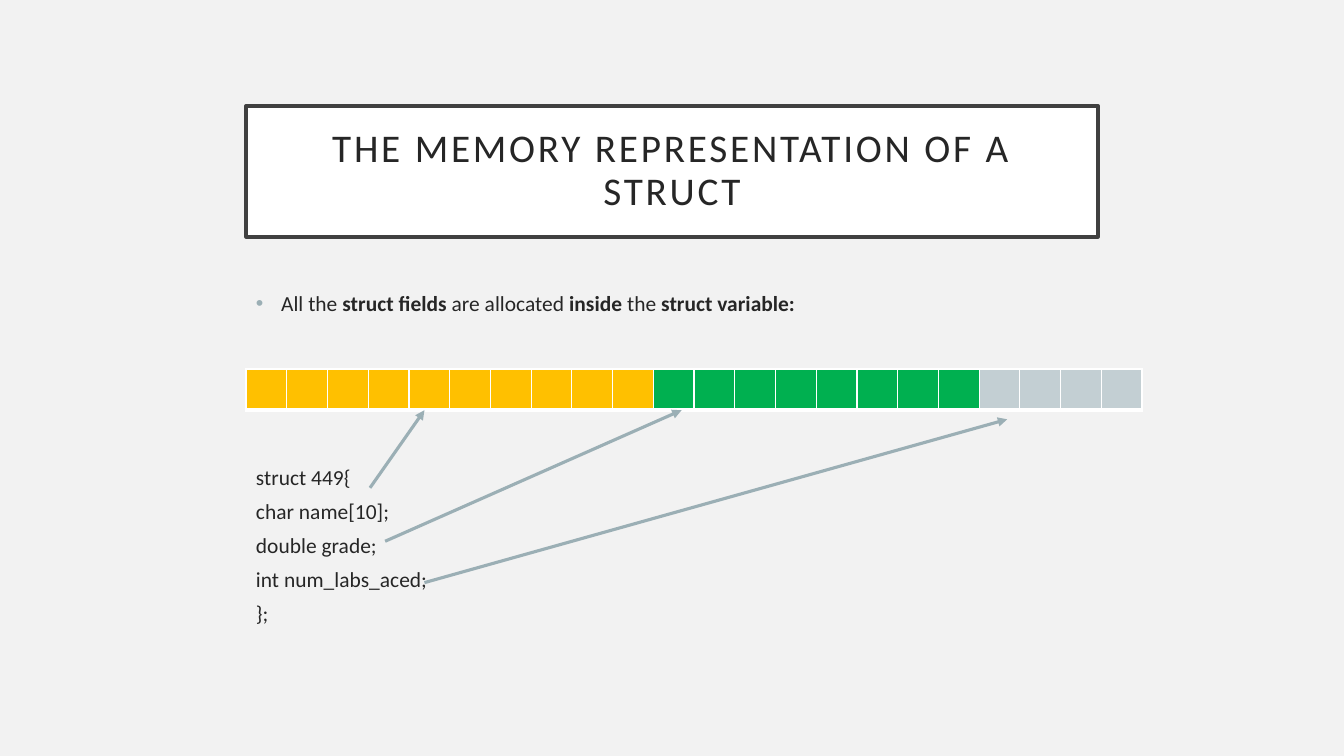
"""Build a slide showing how the fields of a struct lie in memory."""

import dataclasses
import typing

import lxml.etree
import pptx
import pptx.dml.color
import pptx.enum.shapes
import pptx.enum.text
import pptx.oxml.ns
import pptx.shapes.autoshape
import pptx.slide
import pptx.table
import pptx.text.text
import pptx.util

Inches = pptx.util.Inches
FONT = "Calibri"
COLORS = {
    "back": "F2F2F2",
    "white": "FFFFFF",
    "frame": "404040",
    "ink": "262626",
    "arrow": "9BAFB5",
    "name": "FFC000",
    "grade": "00B050",
    "labs": "C3CFD3",
}


@dataclasses.dataclass(frozen=True)
class Field:
    color: str
    bytes: int


@dataclasses.dataclass(frozen=True)
class Arrow:
    start: tuple[float, float]
    end: tuple[float, float]


@dataclasses.dataclass(frozen=True)
class Piece:
    text: str
    bold: bool = False


FIELDS = [Field("name", 10), Field("grade", 8), Field("labs", 4)]
ARROWS = [
    Arrow((3.67, 4.84), (4.21, 4.07)),
    Arrow((3.82, 5.37), (6.76, 4.07)),
    Arrow((4.21, 5.78), (9.99, 4.16)),
]
CLAIM = [
    Piece("All the "),
    Piece("struct fields ", True),
    Piece("are allocated "),
    Piece("inside ", True),
    Piece("the "),
    Piece("struct variable:", True),
]
CODE = ["struct 449{", "char name[10];", "double grade;", "int num_labs_aced;", "};"]


def color(key: str) -> pptx.dml.color.RGBColor:
    return pptx.dml.color.RGBColor.from_string(COLORS[key])


def add_node(parent: typing.Any, tag: str, **attrs: str) -> typing.Any:
    return lxml.etree.SubElement(parent, pptx.oxml.ns.qn(tag), attrs)


def add_run(para: typing.Any, piece: Piece, size: float) -> typing.Any:
    run = para.add_run()
    run.text = piece.text
    run.font.name = FONT
    run.font.size = pptx.util.Pt(size)
    run.font.bold = piece.bold
    run.font.color.rgb = color("ink")
    return run


def add_title(slide: pptx.slide.Slide) -> None:
    box = slide.shapes.add_shape(
        pptx.enum.shapes.MSO_SHAPE.RECTANGLE,
        Inches(2.44), Inches(1.05), Inches(8.45), Inches(1.3),
    )
    box.shadow.inherit = False
    box.fill.solid()
    box.fill.fore_color.rgb = color("white")
    box.line.color.rgb = color("frame")
    box.line.width = pptx.util.Pt(2.5)
    frame = box.text_frame
    frame.word_wrap = True
    frame.vertical_anchor = pptx.enum.text.MSO_ANCHOR.MIDDLE
    frame.margin_left = frame.margin_right = Inches(0.2)
    frame.margin_top = frame.margin_bottom = Inches(0.2)
    para = frame.paragraphs[0]
    para.alignment = pptx.enum.text.PP_ALIGN.CENTER
    para.line_spacing = 0.9
    run = add_run(para, Piece("THE MEMORY REPRESENTATION OF A STRUCT"), 28)
    run.font._element.set("spc", "200")


def add_text(
    slide: pptx.slide.Slide, top: float, height: float, lines: list[list[Piece]]
) -> typing.Any:
    box = slide.shapes.add_textbox(
        Inches(2.44), Inches(top), Inches(8.45), Inches(height)
    )
    frame = box.text_frame
    frame.word_wrap = True
    for row, line in enumerate(lines):
        para = frame.add_paragraph() if row else frame.paragraphs[0]
        para.line_spacing = 0.8
        para.space_before = pptx.util.Pt(9.7 if row else 0)
        for piece in line:
            add_run(para, piece, 15.3)
    return frame


def add_bullet(para: typing.Any) -> None:
    props = para._p.get_or_add_pPr()
    props.set("marL", str(Inches(0.25)))
    props.set("indent", str(Inches(-0.25)))
    tint = add_node(props, "a:buClr")
    add_node(tint, "a:srgbClr", val=COLORS["arrow"])
    add_node(props, "a:buFont", typeface="Arial")
    add_node(props, "a:buChar", char="•")


def add_edges(cell: pptx.table._Cell) -> None:
    props = cell._tc.get_or_add_tcPr()
    for side, width in (("L", 1), ("R", 1), ("T", 1), ("B", 3)):
        edge = add_node(props, f"a:ln{side}", w=str(pptx.util.Pt(width)))
        fill = add_node(edge, "a:solidFill")
        add_node(fill, "a:srgbClr", val=COLORS["white"])


def add_bytes(slide: pptx.slide.Slide) -> None:
    tints = [field.color for field in FIELDS for _ in range(field.bytes)]
    width = Inches(8.89)
    table = slide.shapes.add_table(
        1, len(tints), Inches(2.44), Inches(3.66), width, Inches(0.41)
    ).table
    table.first_row = False
    table.horz_banding = False
    for col, tint in enumerate(tints):
        table.columns[col].width = width // len(tints)
        cell = table.cell(0, col)
        add_edges(cell)
        cell.fill.solid()
        cell.fill.fore_color.rgb = color(tint)


def add_arrow(slide: pptx.slide.Slide, arrow: Arrow) -> None:
    link = slide.shapes.add_connector(
        pptx.enum.shapes.MSO_CONNECTOR.STRAIGHT,
        *map(Inches, arrow.start + arrow.end),
    )
    link.line.color.rgb = color("arrow")
    link.line.width = pptx.util.Pt(2.25)
    add_node(link.line._get_or_add_ln(), "a:tailEnd", type="triangle")
    add_node(link._element.spPr, "a:effectLst")


def main() -> None:
    deck = pptx.Presentation()
    deck.slide_width = Inches(13.33)
    deck.slide_height = Inches(7.5)
    slide = deck.slides.add_slide(deck.slide_layouts[6])
    slide.background.fill.solid()
    slide.background.fill.fore_color.rgb = color("back")
    add_title(slide)
    claim = add_text(slide, 2.88, 0.4, [CLAIM])
    add_bullet(claim.paragraphs[0])
    add_text(slide, 4.6, 1.67, [[Piece(line)] for line in CODE])
    add_bytes(slide)
    for arrow in ARROWS:
        add_arrow(slide, arrow)
    deck.save("out.pptx")


if __name__ == "__main__":
    main()
